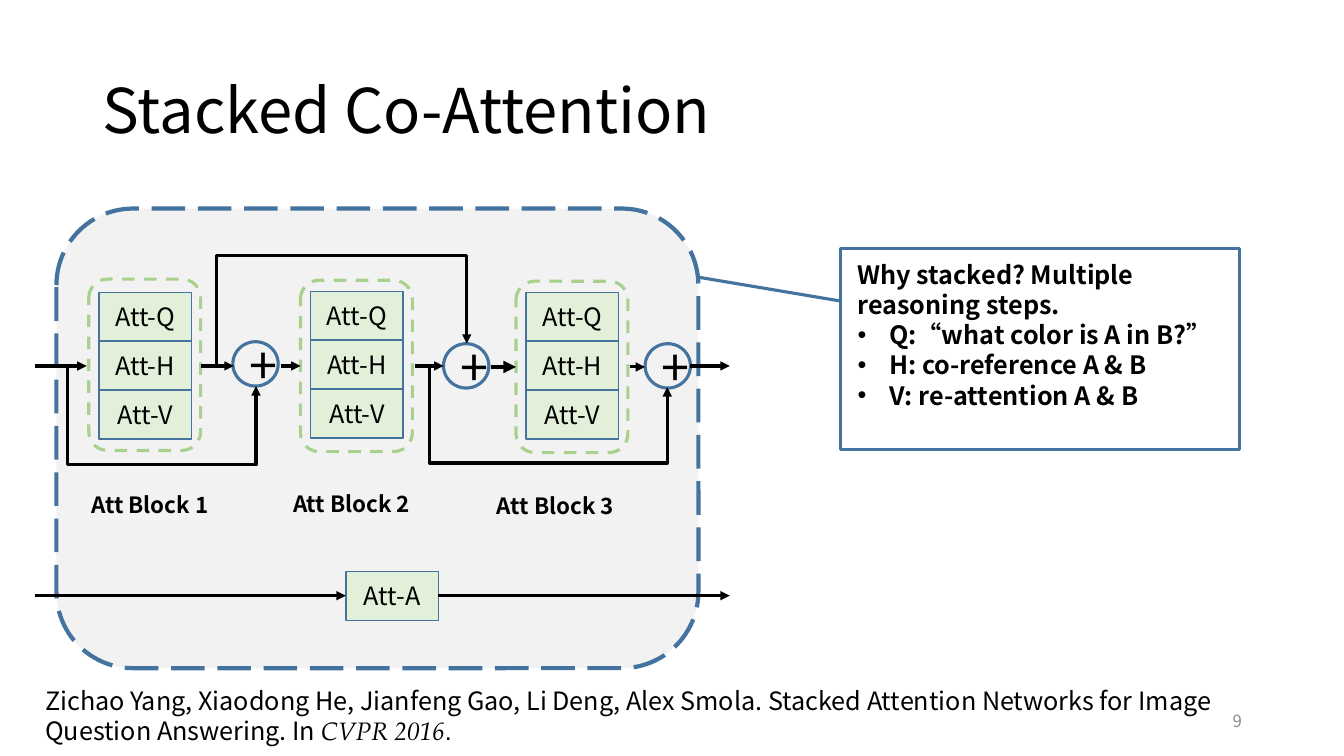
from lxml.etree import SubElement as Sub
from pptx import Presentation
from pptx.dml.color import RGBColor as Rgb
from pptx.enum.dml import MSO_LINE as Dash
from pptx.enum.shapes import MSO_CONNECTOR as Conn, MSO_SHAPE as Shape
from pptx.enum.text import MSO_ANCHOR as Anchor, PP_ALIGN as Align
from pptx.oxml.ns import qn
from pptx.util import Pt


def tint(code):
    return Rgb.from_string(code)


class Deck:
    font = "Noto Sans CJK SC"
    ink, blue, green = "000000", "43739E", "A9D18E"
    mint, gray, pale = "E2F0D9", "F2F2F2", "8C8C8C"

    def __init__(self):
        self.show = Presentation()
        self.show.slide_width, self.show.slide_height = Pt(960), Pt(540)
        slide = self.show.slides.add_slide(self.show.slide_layouts[6])
        self.items = slide.shapes

    def style(self, run, size, color, bold=False, face=None):
        font = run.font
        font.size, font.bold, font.name = Pt(size), bold, face or self.font
        font.color.rgb = tint(color)
        Sub(run._r.get_or_add_rPr(), qn("a:ea")).set("typeface", face or self.font)

    def letter(self, frame, words, size, color=None, bold=False, align=Align.LEFT):
        frame.text = words
        for para in frame.paragraphs:
            para.alignment = align
            for run in para.runs:
                self.style(run, size, color or self.ink, bold)

    def text(self, box, words, size, color=None, bold=False, align=Align.LEFT, anchor=Anchor.TOP):
        frame = self.items.add_textbox(*map(Pt, box)).text_frame
        frame.word_wrap, frame.vertical_anchor = True, anchor
        self.letter(frame, words, size, color, bold, align)
        return frame

    def shape(self, kind, box, line, width, fill=None, dash=None, words="", size=18):
        item = self.items.add_shape(kind, *map(Pt, box))
        item.shadow.inherit = False
        if fill:
            item.fill.solid()
            item.fill.fore_color.rgb = tint(fill)
        else:
            item.fill.background()
        item.line.color.rgb, item.line.width = tint(line), Pt(width)
        if dash:
            item.line.dash_style = dash
        if words:
            item.text_frame.vertical_anchor = Anchor.MIDDLE
            self.letter(item.text_frame, words, size, align=Align.CENTER)
        return item

    def cell(self, left, top, words):
        self.shape(Shape.RECTANGLE, (left, top, 66.2, 34.9), self.blue, 1, self.mint, words=words)

    def block(self, left, top, rim, label, name):
        for row, kind in enumerate("QHV"):
            self.cell(left, top + row * 34.9, f"Att-{kind}")
        self.shape(Shape.ROUNDED_RECTANGLE, (left - 7.2, rim, 79.9, 122.4), self.green, 2.25, dash=Dash.DASH)
        self.text((*label, 98.6, 26.6), name, 16, bold=True)

    def plus(self, left, top):
        self.shape(Shape.OVAL, (left, top, 32.4, 31.7), self.blue, 2.25, words="+", size=36)

    def arrow(self, start, end, width=2.25, bend=None):
        kind = Conn.ELBOW if bend else Conn.STRAIGHT
        line = self.items.add_connector(kind, *map(Pt, (*start, *end)))
        line.line.color.rgb, line.line.width = tint(self.ink), Pt(width)
        props = line._element.spPr
        Sub(props.find(qn("a:ln")), qn("a:tailEnd")).set("type", "triangle")
        Sub(props, qn("a:effectLst"))
        if bend:
            geom = props.find(qn("a:prstGeom"))
            geom.set("prst", "bentConnector4")
            for spot, part in enumerate(bend, 1):
                guide = Sub(geom.find(qn("a:avLst")), qn("a:gd"))
                guide.set("name", f"adj{spot}")
                guide.set("fmla", f"val {round(part * 100000)}")

    def bullet(self, para):
        props = para._p.get_or_add_pPr()
        props.set("marL", str(Pt(22.5)))
        props.set("indent", str(-Pt(22.5)))
        Sub(props, qn("a:buFont")).set("typeface", "Arial")
        Sub(props, qn("a:buChar")).set("char", "•")


deck = Deck()
title = deck.text((66.2, 28.8, 828, 104.4), "Stacked Co-Attention", 44, anchor=Anchor.MIDDLE)
title.paragraphs[0].line_spacing = 0.9

deck.shape(Shape.ROUNDED_RECTANGLE, (40.3, 149, 458.6, 328.3), deck.blue, 3, deck.gray, Dash.LONG_DASH)
blocks = [
    (70.6, 208.8, 199.4, (58.3, 347)),
    (221.8, 208.1, 200.2, (202.3, 346.3)),
    (375.8, 208.8, 200.9, (347.8, 347.8)),
]
for count, place in enumerate(blocks, 1):
    deck.block(*place, f"Att Block {count}")
deck.cell(247, 408.2, "Att-A")
for left, top in [(166.3, 244.1), (316.8, 245.5), (460.8, 245.5)]:
    deck.plus(left, top)

flows = [
    (25.2, 61.9, 261.4), (143.3, 167, 261.4), (200.9, 214.6, 261.4),
    (296.6, 316.8, 261.4), (450, 460.8, 262.1), (493.2, 521.3, 261.4),
    (25.2, 247, 425.5), (313.2, 521.3, 425.5),
]
for start, end, level in flows:
    deck.arrow((start, level), (end, level))
deck.arrow((350.6, 262.1), (368.6, 262.1), 3)

skips = [
    ((46.8, 261.4), (182.9, 275.8), (0.01, 4.91)),
    ((152.9, 261.4), (333.4, 245.5), (0.01, 4.95)),
    ((305.3, 261.4), (476.6, 276.5), (0.01, 4.59)),
]
for start, end, bend in skips:
    deck.arrow(start, end, bend=bend)

call = deck.shape(Shape.LINE_CALLOUT_1, (600.5, 177.8, 285.1, 143.3), deck.blue, 2.25)
for spot, part in enumerate((0.26, 0, 0.14, -0.36)):
    call.adjustments[spot] = part
points = [
    "Why stacked? Multiple reasoning steps.",
    "Q:“what color is A in B?”",
    "H: co-reference A & B",
    "V: re-attention A & B",
]
note = deck.text((605.5, 181.4, 273.6, 116.6), "\n".join(points), 18, bold=True)
for para in note.paragraphs[1:]:
    deck.bullet(para)

cite = deck.text(
    (25.2, 486, 908.6, 51.1),
    "Zichao Yang, Xiaodong He, Jianfeng Gao, Li Deng, Alex Smola. "
    "Stacked Attention Networks for Image Question Answering. In ",
    18,
)
for words, face, slant in [("CVPR 2016", "TeX Gyre Pagella", True), (".", "Arial", False)]:
    run = cite.paragraphs[0].add_run()
    run.text = words
    deck.style(run, 18, deck.ink, face=face)
    run.font.italic = slant
deck.text((678.2, 500.4, 216, 28.8), "9", 12, deck.pale, align=Align.RIGHT, anchor=Anchor.MIDDLE)

deck.show.save("out.pptx")
